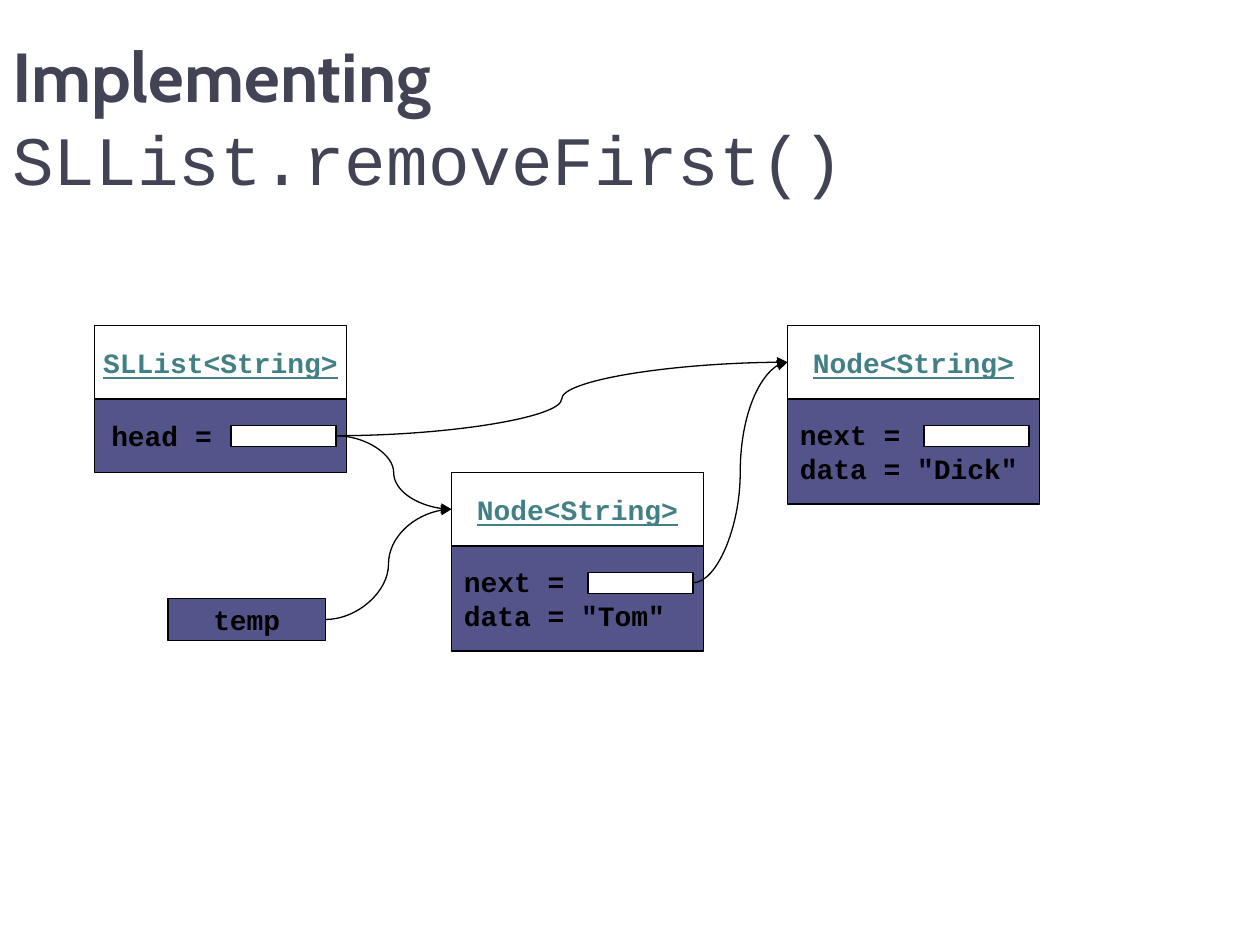
from dataclasses import dataclass

from lxml.etree import SubElement
from pptx import Presentation
from pptx.dml.color import RGBColor
from pptx.enum.shapes import MSO_CONNECTOR, MSO_SHAPE
from pptx.enum.text import MSO_ANCHOR, PP_ALIGN
from pptx.oxml.ns import qn
from pptx.shapes.autoshape import Shape
from pptx.slide import Slide
from pptx.util import Pt

BLACK = RGBColor(0x00, 0x00, 0x00)
WHITE = RGBColor(0xFF, 0xFF, 0xFF)
INDIGO = RGBColor(0x53, 0x54, 0x8A)
TEAL = RGBColor(0x43, 0x80, 0x86)
SLATE = RGBColor(0x42, 0x44, 0x56)
CODE_FONT = "Courier New"
TITLE_FONT = "Cabin"

OBJECT_WIDTH = 144
HEADER_HEIGHT = 42
SLOT_X, SLOT_Y, SLOT_WIDTH, SLOT_HEIGHT = 78, 15, 60, 12
LEFT, RIGHT = 1, 3


@dataclass(frozen=True)
class ListObject:
    class_name: str
    fields: tuple[str, ...]
    x: float
    y: float
    body_height: float
    inset: float = 7.2


@dataclass(frozen=True)
class DrawnObject:
    header: Shape
    slot: Shape


SLLIST = ListObject("SLList<String>", ("head =",), 54, 186, 42, 9.6)
TOM = ListObject("Node<String>", ("next =", 'data = "Tom"'), 258, 270, 60)
DICK = ListObject("Node<String>", ("next =", 'data = "Dick"'), 450, 186, 60)


def add_box(slide: Slide, x: float, y: float, width: float, height: float,
            fill: RGBColor | None) -> Shape:
    box = slide.shapes.add_shape(MSO_SHAPE.RECTANGLE, Pt(x), Pt(y), Pt(width), Pt(height))
    box.shadow.inherit = False
    if fill is None:
        box.fill.background()
    else:
        box.fill.solid()
        box.fill.fore_color.rgb = fill
    box.line.color.rgb = BLACK
    box.line.width = Pt(0.75)
    return box


def write_code(box: Shape, lines: tuple[str, ...], color: RGBColor = BLACK,
               align: PP_ALIGN = PP_ALIGN.CENTER, underline: bool = False) -> None:
    frame = box.text_frame
    frame.word_wrap = False
    frame.vertical_anchor = MSO_ANCHOR.MIDDLE
    for index, line in enumerate(lines):
        paragraph = frame.add_paragraph() if index else frame.paragraphs[0]
        paragraph.alignment = align
        run = paragraph.add_run()
        run.text = line
        run.font.name = CODE_FONT
        run.font.size = Pt(16)
        run.font.bold = True
        run.font.underline = underline
        run.font.color.rgb = color


def add_object(slide: Slide, item: ListObject) -> DrawnObject:
    """Draw the class name above the fields, with a slot for the reference."""
    body_y = item.y + HEADER_HEIGHT
    body = add_box(slide, item.x, body_y, OBJECT_WIDTH, item.body_height, INDIGO)
    body.text_frame.margin_left = Pt(item.inset)
    write_code(body, item.fields, align=PP_ALIGN.LEFT)
    slot = add_box(slide, item.x + SLOT_X, body_y + SLOT_Y, SLOT_WIDTH, SLOT_HEIGHT, WHITE)
    header = add_box(slide, item.x, item.y, OBJECT_WIDTH, HEADER_HEIGHT, None)
    write_code(header, (item.class_name,), TEAL, underline=True)
    return DrawnObject(header, slot)


def add_reference(slide: Slide, source: Shape, target: Shape) -> None:
    """Draw a curved arrow from the right of source to the left of target."""
    arrow = slide.shapes.add_connector(
        MSO_CONNECTOR.CURVE,
        source.left + source.width, source.top + source.height // 2,
        target.left, target.top + target.height // 2)
    arrow.begin_connect(source, RIGHT)
    arrow.end_connect(target, LEFT)
    arrow.line.color.rgb = BLACK
    arrow.line.width = Pt(0.75)
    SubElement(arrow.line._get_or_add_ln(), qn("a:tailEnd"), type="triangle")
    SubElement(arrow._element.spPr, qn("a:effectLst"))


def add_title(slide: Slide) -> None:
    title = slide.shapes.add_textbox(Pt(0), Pt(21.6), Pt(684), Pt(90))
    frame = title.text_frame
    frame.word_wrap = True
    frame.vertical_anchor = MSO_ANCHOR.MIDDLE
    for text, font, bold in (("Implementing ", TITLE_FONT, True),
                             ("SLList.removeFirst()", CODE_FONT, False)):
        run = frame.paragraphs[0].add_run()
        run.text = text
        run.font.name = font
        run.font.size = Pt(39.6)
        run.font.bold = bold
        run.font.color.rgb = SLATE


def main() -> None:
    deck = Presentation()
    deck.slide_width, deck.slide_height = Pt(720), Pt(540)
    slide = deck.slides.add_slide(deck.slide_layouts[6])
    add_title(slide)
    sllist, tom, dick = (add_object(slide, item) for item in (SLLIST, TOM, DICK))
    temp = add_box(slide, 96, 342, 90, 24, INDIGO)
    write_code(temp, ("temp",))
    for source, target in ((sllist.slot, tom.header), (tom.slot, dick.header),
                           (sllist.slot, dick.header), (temp, tom.header)):
        add_reference(slide, source, target)
    deck.save("out.pptx")


if __name__ == "__main__":
    main()
